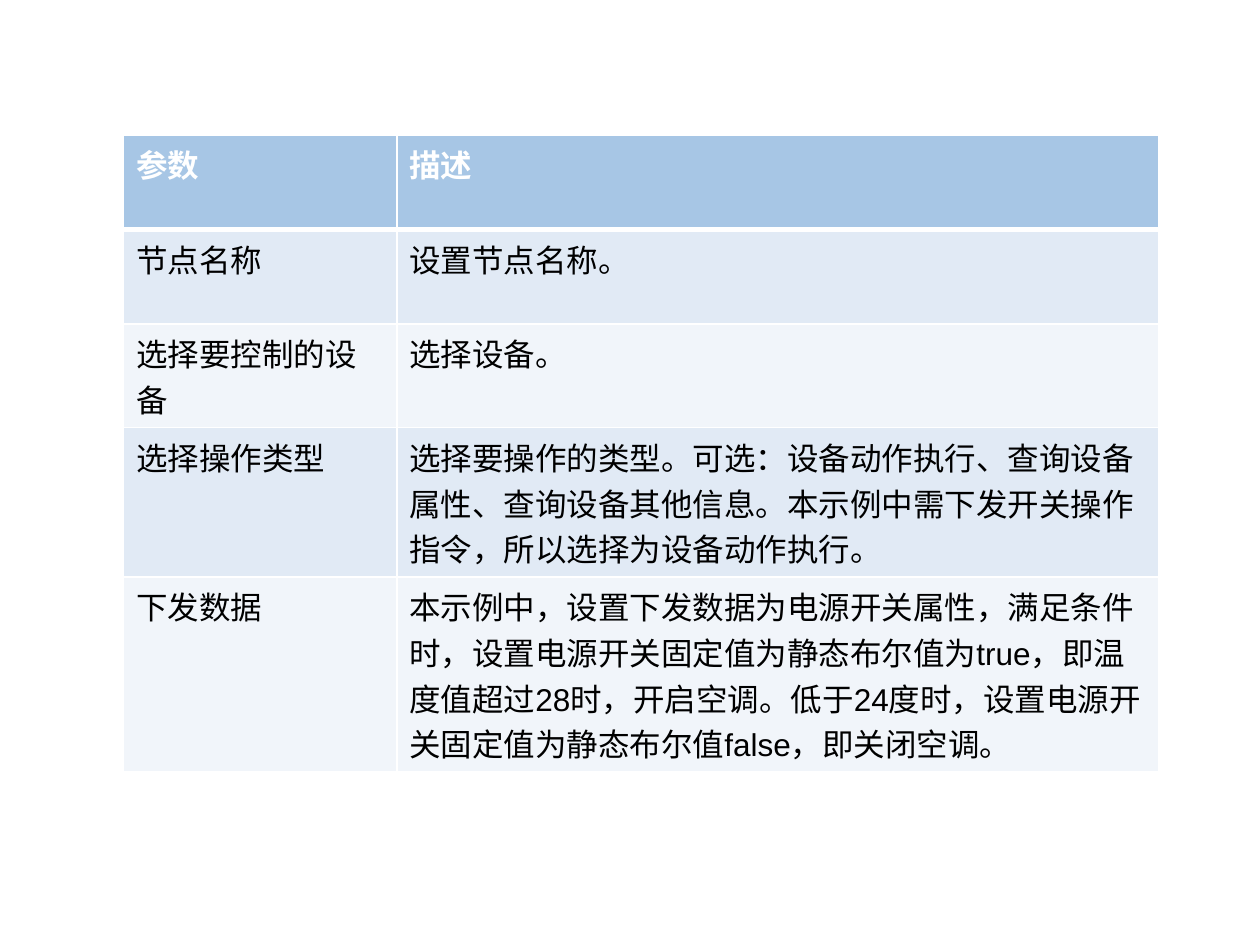
from dataclasses import dataclass

from lxml import etree
from pptx import Presentation
from pptx.dml.color import RGBColor
from pptx.oxml.ns import qn
from pptx.util import Inches, Pt

BLANK_LAYOUT = 6


@dataclass(frozen=True)
class Theme:
    font: str = "Arial"
    size: int = 18
    header_text: str = "FFFFFF"
    body_text: str = "000000"
    header_fill: str = "A7C6E5"
    band_fills: tuple = ("E1EAF5", "F1F5FA")
    border: str = "FFFFFF"
    thin: int = 1
    thick: int = 3


THEME = Theme()

COLUMN_WIDTHS = (2.17, 6.05)
ROW_HEIGHT = 0.75
ROWS = (
    ("参数", "描述"),
    ("节点名称", "设置节点名称。"),
    ("选择要控制的设备", "选择设备。"),
    ("选择操作类型",
     "选择要操作的类型。可选：设备动作执行、查询设备属性、查询设备其他信息。"
     "本示例中需下发开关操作指令，所以选择为设备动作执行。"),
    ("下发数据",
     "本示例中，设置下发数据为电源开关属性，满足条件时，设置电源开关固定值为静态布尔值为true，"
     "即温度值超过28时，开启空调。低于24度时，设置电源开关固定值为静态布尔值false，即关闭空调。"),
)


def write_text(frame, text, *, color, bold=False):
    span = frame.paragraphs[0].add_run()
    span.text = text
    span.font.name = THEME.font
    span.font.size = Pt(THEME.size)
    span.font.bold = bold
    span.font.color.rgb = RGBColor.from_string(color)


def set_borders(cell, *, top, bottom):
    """Draw all four sides; the left and right ones are always thin."""
    properties = cell._tc.get_or_add_tcPr()
    sides = {"a:lnL": THEME.thin, "a:lnR": THEME.thin, "a:lnT": top, "a:lnB": bottom}
    for tag, width in sides.items():
        line = etree.SubElement(properties, qn(tag), w=str(Pt(width)))
        fill = etree.SubElement(line, qn("a:solidFill"))
        etree.SubElement(fill, qn("a:srgbClr"), val=THEME.border)


def format_cell(cell, text, row_index):
    is_header = row_index == 0
    set_borders(
        cell,
        top=THEME.thick if row_index == 1 else THEME.thin,
        bottom=THEME.thick if is_header else THEME.thin,
    )
    band = THEME.band_fills[(row_index - 1) % len(THEME.band_fills)]
    cell.fill.solid()
    cell.fill.fore_color.rgb = RGBColor.from_string(THEME.header_fill if is_header else band)
    write_text(
        cell.text_frame,
        text,
        color=THEME.header_text if is_header else THEME.body_text,
        bold=is_header,
    )


def add_parameter_table(page, left, top):
    width, height = sum(COLUMN_WIDTHS), ROW_HEIGHT * len(ROWS)
    table = page.shapes.add_table(
        len(ROWS), len(COLUMN_WIDTHS),
        Inches(left), Inches(top), Inches(width), Inches(height),
    ).table
    for column, column_width in zip(table.columns, COLUMN_WIDTHS):
        column.width = Inches(column_width)
    for row_index, texts in enumerate(ROWS):
        for column_index, text in enumerate(texts):
            format_cell(table.cell(row_index, column_index), text, row_index)


def main():
    deck = Presentation()
    deck.slide_width, deck.slide_height = Inches(10), Inches(7.5)
    page = deck.slides.add_slide(deck.slide_layouts[BLANK_LAYOUT])
    add_parameter_table(page, left=0.98, top=1.07)
    deck.save("out.pptx")


if __name__ == "__main__":
    main()
